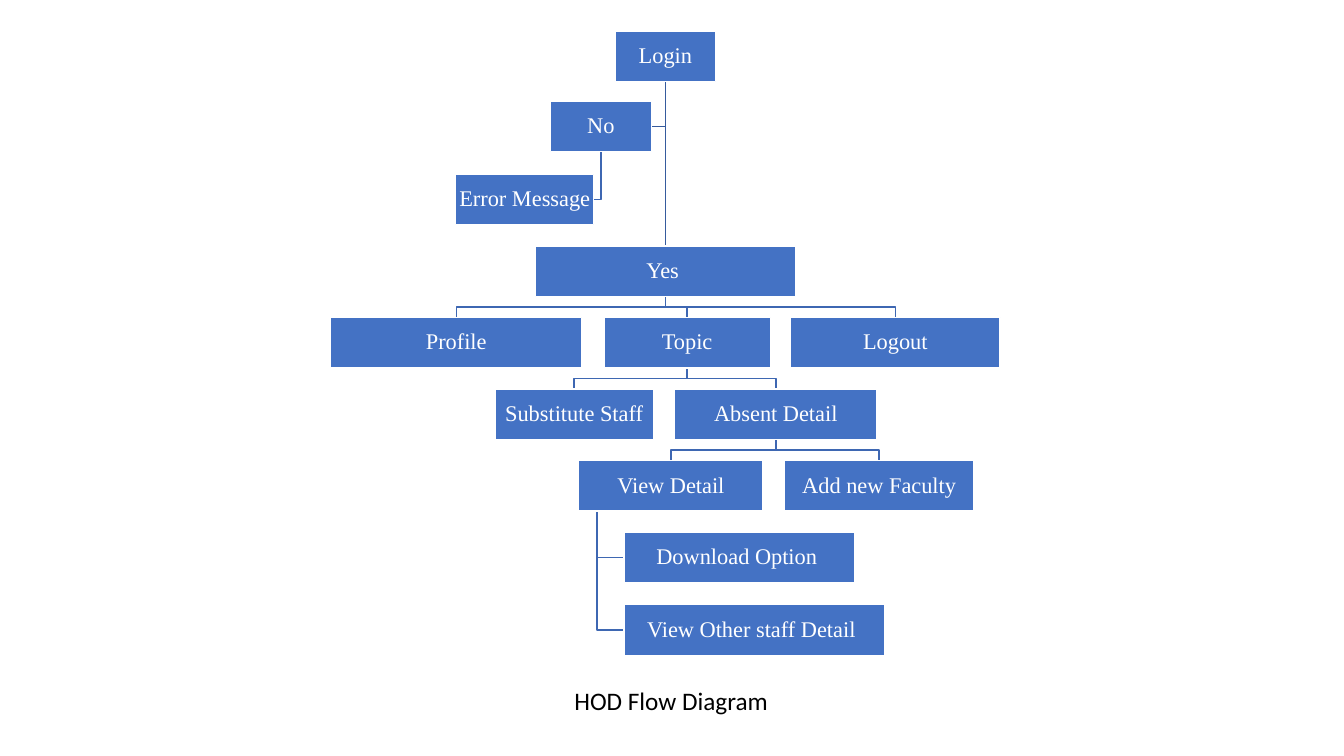
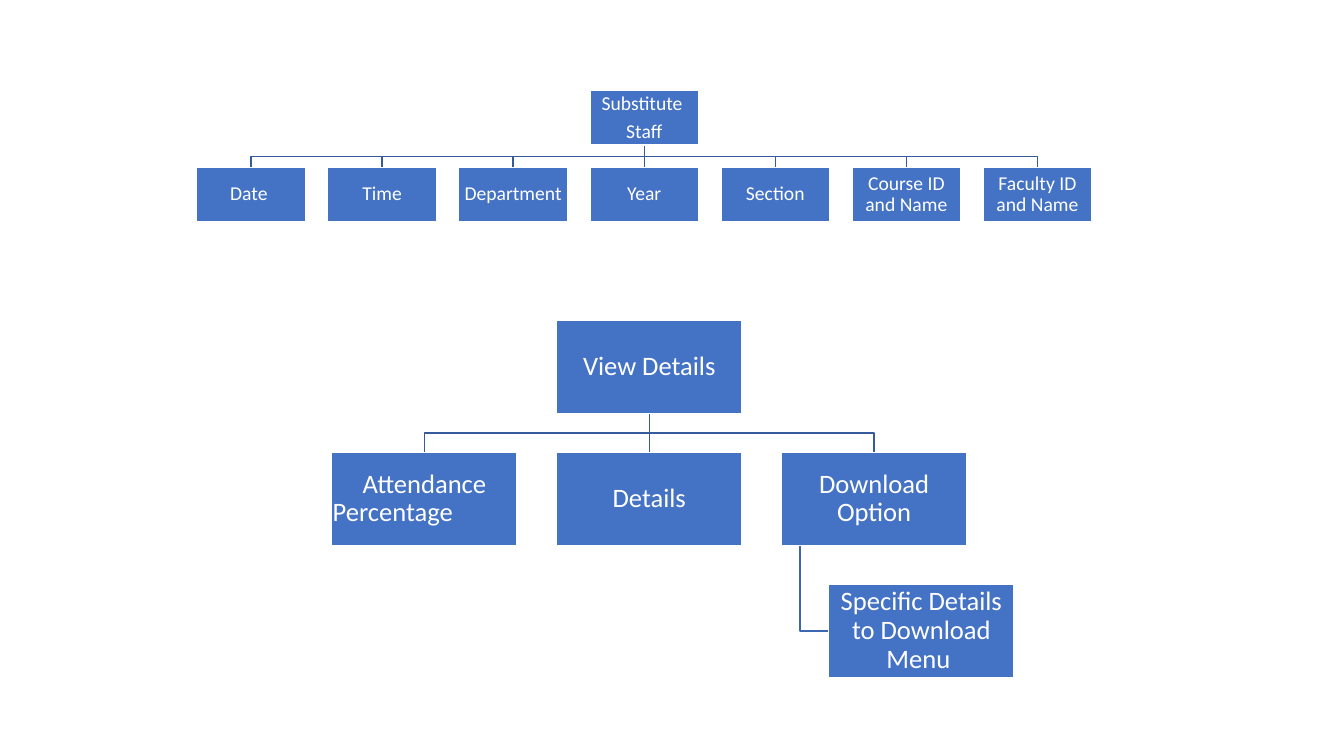
from dataclasses import dataclass

from lxml import etree
from pptx import Presentation
from pptx import util as u
from pptx.dml.color import RGBColor
from pptx.enum import shapes as kinds, text as t
from pptx.oxml.ns import qn

WIDE, HIGH = u.Inches(13.33), u.Inches(7.5)
BLUE = RGBColor(0x44, 0x72, 0xC4)
DARK = RGBColor(0x36, 0x5B, 0x9D)
MID = RGBColor(0x3E, 0x67, 0xB2)
WHITE = RGBColor(0xFF, 0xFF, 0xFF)
BLACK = RGBColor(0, 0, 0)
SANS, SERIF = "Calibri", "Times New Roman"
THIN = u.Pt(1)


@dataclass
class Grid:
    """Origin, column and row pitch and cell size in inches, with the type used."""
    left: float
    top: float
    col: float
    row: float
    wide: float
    high: float
    font: str
    size: int


@dataclass
class Node:
    """A box on the grid; wide and high count cells."""
    text: str
    col: float
    row: float
    wide: float = 1
    high: float = 1
    parent: str = ""
    link: str = "drop"


def add_box(slide, grid, node):
    box = slide.shapes.add_shape(
        kinds.MSO_SHAPE.RECTANGLE,
        u.Inches(grid.left + node.col * grid.col),
        u.Inches(grid.top + node.row * grid.row),
        u.Inches(node.wide * grid.wide), u.Inches(node.high * grid.high))
    box.shadow.inherit = False
    box.fill.solid()
    box.fill.fore_color.rgb = BLUE
    box.line.color.rgb = WHITE
    box.line.width = THIN
    frame = box.text_frame
    frame.word_wrap = True
    frame.vertical_anchor = t.MSO_ANCHOR.MIDDLE
    frame.margin_left = frame.margin_right = u.Inches(0.01)
    frame.margin_top = frame.margin_bottom = u.Inches(0.01)
    frame.text = node.text
    for para in frame.paragraphs:
        para.alignment = t.PP_ALIGN.CENTER
        para.line_spacing = 0.9
        para.space_after = u.Pt(grid.size * 0.35)
        para.font.name, para.font.size = grid.font, u.Pt(grid.size)
        para.font.color.rgb = WHITE
    return box


def route(start, end, link):
    """Points of a bent line: drop to the top, side to the right, hang to the left."""
    base = start.top + start.height
    mid = start.left + start.width // 2
    if link == "drop":
        turn, goal = (base + end.top) // 2, end.left + end.width // 2
        return [(mid, base), (mid, turn), (goal, turn), (goal, end.top)]
    level = end.top + end.height // 2
    if link == "side":
        return [(mid, base), (mid, level), (end.left + end.width, level)]
    stem = start.left + start.width // 10
    return [(stem, base), (stem, level), (end.left, level)]


def add_link(slide, start, end, link, color):
    points = route(start, end, link)
    if abs(points[0][0] - points[-1][0]) < u.Inches(0.01):
        line = slide.shapes.add_connector(
            kinds.MSO_CONNECTOR.STRAIGHT, *points[0], *points[-1])
        line.begin_connect(start, 2)
        line.end_connect(end, 0)
    else:
        path = slide.shapes.build_freeform(*points[0])
        path.add_line_segments(points[1:], close=False)
        line = path.convert_to_shape()
        line.fill.background()
    line.line.color.rgb = color
    line.line.width = THIN
    if isinstance(end, type(line)):
        line.shadow.inherit = False
    else:
        etree.SubElement(line.element.spPr, qn("a:effectLst"))
    line.element.getparent().insert(2, line.element)  # behind the boxes


def add_tree(slide, grid, nodes):
    """Draw the nodes, root first, and their links; return the boxes by text."""
    boxes = {node.text: add_box(slide, grid, node) for node in nodes}
    root = nodes[0].text
    for node in nodes[1:]:
        color = DARK if node.parent == root else MID
        add_link(slide, boxes[node.parent], boxes[node.text], node.link, color)
    return boxes


def add_caption(slide, words):
    box = slide.shapes.add_textbox(
        int(WIDE * 0.42), int(HIGH * 0.9), int(WIDE * 0.18), u.Inches(0.4))
    box.text_frame.word_wrap = True
    para = box.text_frame.paragraphs[0]
    para.text = words
    para.font.name, para.font.size = SANS, u.Pt(18)
    para.font.color.rgb = BLACK


def add_flow(slide):
    grid = Grid(3.28, 0.31, 1, 0.71, 1, 0.5, SERIF, 16)
    add_tree(slide, grid, [
        Node("Login", 2.82, 0),
        Node("No", 2.18, 0.98, parent="Login", link="side"),
        Node("Error Message", 1.24, 2, 1.37, parent="No", link="side"),
        Node("Yes ", 2.03, 3, 2.58, parent="Login"),
        Node("Profile", 0, 4, 2.49, parent="Yes "),
        Node("Topic", 2.71, 4, 1.65, parent="Yes "),
        Node("Logout", 4.56, 4, 2.08, parent="Yes "),
        Node("Substitute Staff", 1.63, 5, 1.57, parent="Topic"),
        Node("Absent Detail", 3.41, 5, 2.01, parent="Topic"),
        Node("View Detail", 2.46, 6, 1.83, parent="Absent Detail"),
        Node("Add new Faculty", 4.5, 6, 1.88, parent="Absent Detail"),
        Node("Download Option ", 2.91, 7, 2.29,
             parent="View Detail", link="hang"),
        Node("View Other staff Detail ", 2.91, 8, 2.58, 1.04,
             parent="View Detail", link="hang"),
    ])
    add_caption(slide, "HOD Flow Diagram")


def add_staff(slide):
    root = "Substitute \nStaff"
    fields = ["Date ", "Time", "Department", "Year", "Section",
              "Course ID and Name", "Faculty ID and Name"]
    grid = Grid(1.95, 0.9, 1.3, 0.76, 1.08, 0.54, SANS, 14)
    add_tree(slide, grid, [Node(root, 3, 0)] + [
        Node(name, col, 1, parent=root) for col, name in enumerate(fields)])


def add_views(slide):
    root, share, load = "View Details", "Attendance\nPercentage", "Download Option"
    grid = Grid(3.29, 3.18, 2.23, 1.31, 1.84, 0.92, SANS, 19)
    nodes = [Node(root, 1, 0)]
    nodes += [Node(name, col, 1, parent=root)
              for col, name in enumerate([share, "Details", load])]
    nodes.append(Node("Specific Details to Download Menu ", 2.21, 2,
                      parent=load, link="hang"))
    first, last = add_tree(slide, grid, nodes)[share].text_frame.paragraphs
    first.space_after = u.Pt(0)
    last.alignment = t.PP_ALIGN.LEFT


def main():
    deck = Presentation()
    deck.slide_width, deck.slide_height = WIDE, HIGH
    blank = deck.slide_layouts[6]
    for parts in ([add_flow], [add_staff, add_views]):
        slide = deck.slides.add_slide(blank)
        for part in parts:
            part(slide)
    deck.save("out.pptx")


if __name__ == "__main__":
    main()
